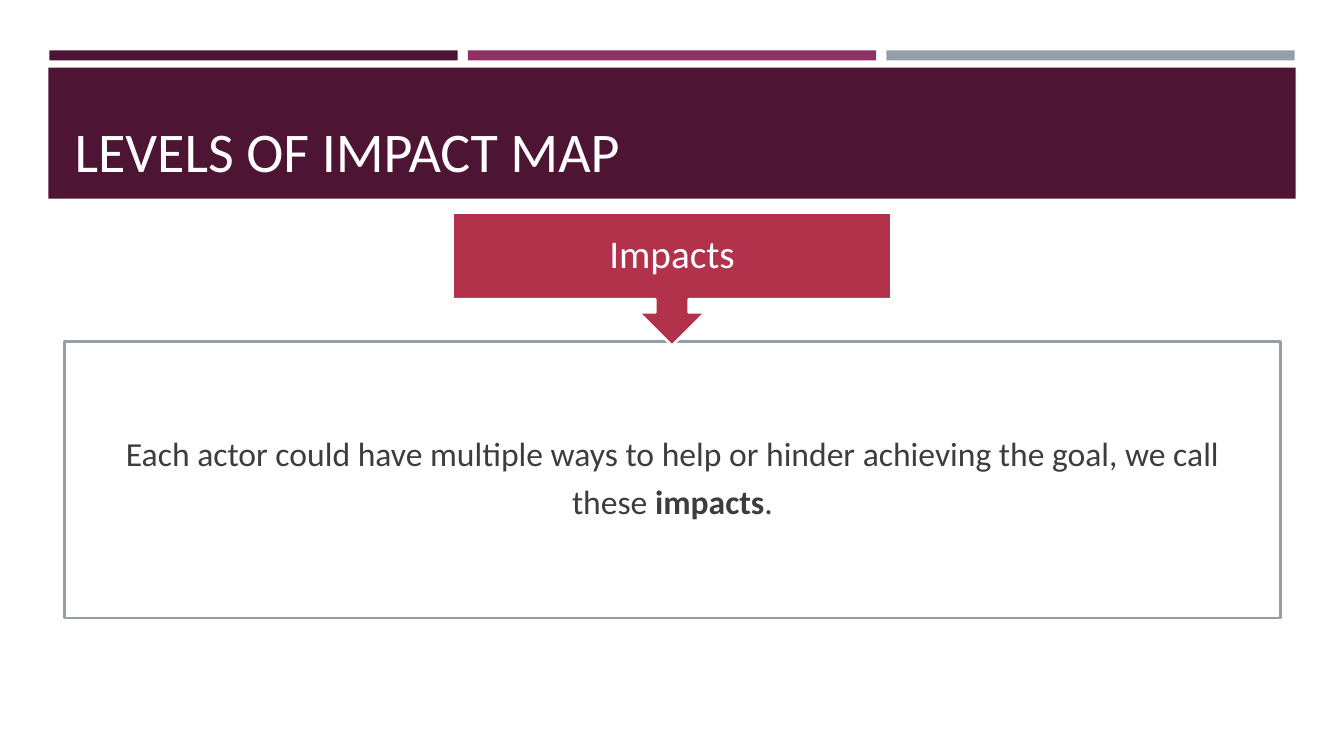
"""Build the "Levels of impact map" slide."""
from pptx import Presentation
from pptx.dml.color import RGBColor
from pptx.enum.shapes import MSO_SHAPE
from pptx.enum.text import MSO_ANCHOR, PP_ALIGN
from pptx.util import Inches, Pt

RECT, CALLOUT = MSO_SHAPE.RECTANGLE, MSO_SHAPE.DOWN_ARROW_CALLOUT
BOTTOM, MIDDLE = MSO_ANCHOR.BOTTOM, MSO_ANCHOR.MIDDLE
LEFT, CENTER = PP_ALIGN.LEFT, PP_ALIGN.CENTER

FONT = "Calibri"
PLUM, WHITE, GRAY, RED, INK = "4D1434", "FFFFFF", "969FA7", "B2324B", "3D3D3D"
STRIPES = [PLUM, "903163", GRAY]
TITLE = [[("LEVELS OF IMPACT MAP", False)]]
LABEL = [[("Impacts", False)]]
BODY = [
    [("Each actor could have multiple ways to help or hinder achieving the goal, we call", False)],
    [("these ", False), ("impacts", True), (".", False)],
]
STRIPE_LEFT, STRIPE_W, STRIPE_STEP = 0.49, 4.05, 4.15


def rgb(color):
    return RGBColor.from_string(color)


def add_box(s, kind, x, y, w, h, fill=None, line=None):
    sp = s.shapes.add_shape(kind, Inches(x), Inches(y), Inches(w), Inches(h))
    sp.shadow.inherit = False
    if fill:
        sp.fill.solid()
        sp.fill.fore_color.rgb = rgb(fill)
    else:
        sp.fill.background()
    if line:
        sp.line.color.rgb = rgb(line)
        sp.line.width = Pt(1.75)
    else:
        sp.line.fill.background()
    return sp


def set_text(sp, paragraphs, size, color, align=CENTER, anchor=MIDDLE,
             inset=None, spacing=0.9, gap=0):
    tf = sp.text_frame
    tf.word_wrap = True
    tf.vertical_anchor = anchor
    if inset is not None:
        tf.margin_left = tf.margin_right = Inches(inset)
        tf.margin_top = tf.margin_bottom = Inches(inset)
    for i, runs in enumerate(paragraphs):
        p = tf.add_paragraph() if i else tf.paragraphs[0]
        p.alignment = align
        p.line_spacing = spacing
        p.space_after = Pt(gap)
        for text, bold in runs:
            r = p.add_run()
            r.text = text
            r.font.name = FONT
            r.font.size = Pt(size)
            r.font.bold = bold
            r.font.color.rgb = rgb(color)


def main():
    prs = Presentation()
    prs.slide_width, prs.slide_height = Inches(13.33), Inches(7.5)
    s = prs.slides.add_slide(prs.slide_layouts[5])

    for i, color in enumerate(STRIPES):
        add_box(s, RECT, STRIPE_LEFT + i * STRIPE_STEP, 0.5, STRIPE_W, 0.1, color)
    band = add_box(s, RECT, 0.48, 0.67, 12.37, 1.3, PLUM)

    title = s.shapes.title
    title.left, title.top = Inches(0.64), Inches(0.77)
    title.width, title.height = Inches(12.06), Inches(1.11)
    set_text(title, TITLE, 40, WHITE, align=LEFT, anchor=BOTTOM)
    band._element.addnext(title._element)

    body = add_box(s, RECT, 0.64, 3.39, 12.06, 2.74, line=GRAY)
    set_text(body, BODY, 24, INK, inset=0.19, gap=8.4)
    callout = add_box(s, CALLOUT, 4.49, 2.11, 4.35, 1.32, RED, WHITE)
    set_text(callout, LABEL, 28, WHITE, inset=0.2)

    prs.save("out.pptx")


if __name__ == "__main__":
    main()
